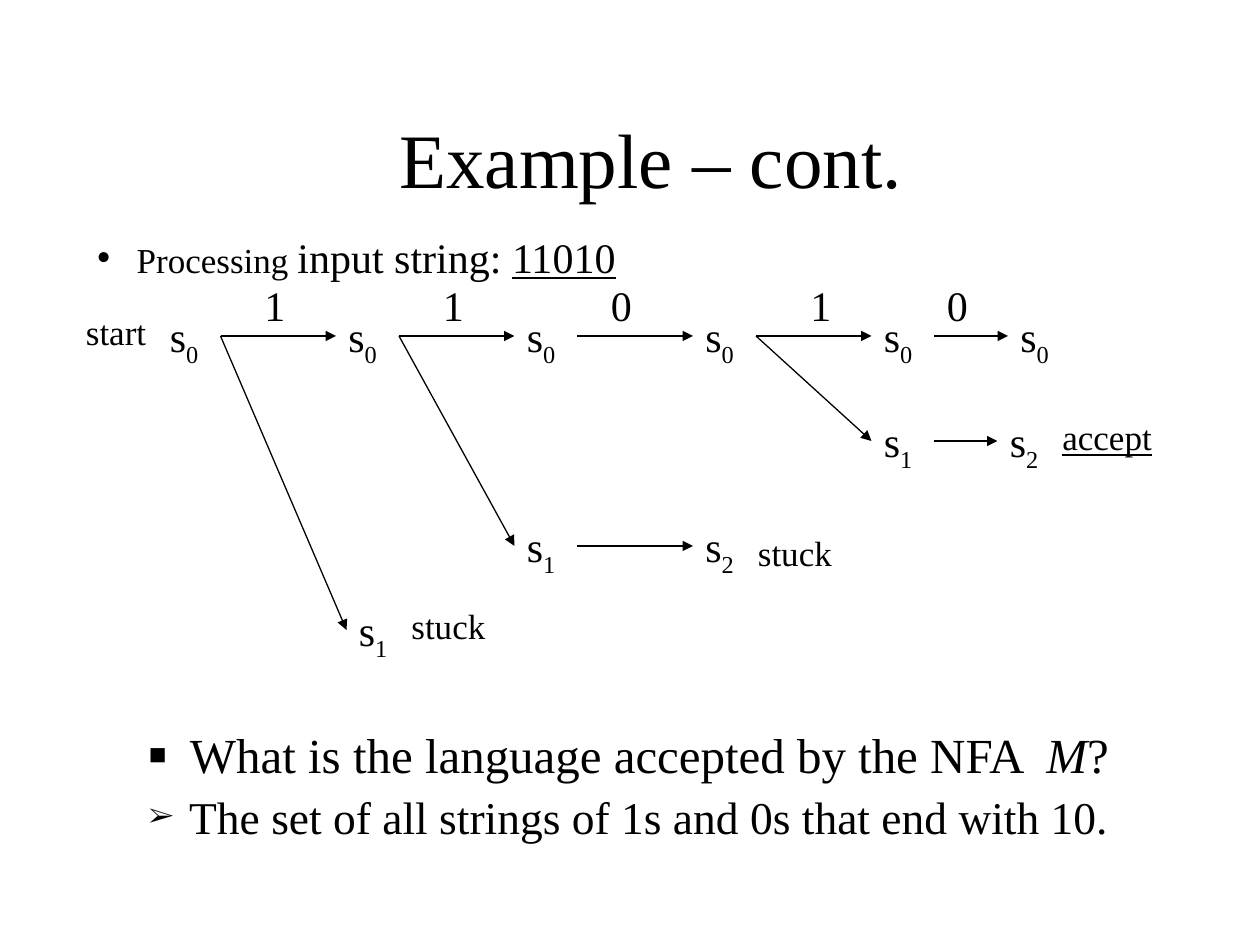
from dataclasses import dataclass

import pptx
import pptx.dml.color
import pptx.enum.shapes
import pptx.enum.text
import pptx.oxml
import pptx.oxml.ns
import pptx.util

Pt = pptx.util.Pt


@dataclass(frozen=True)
class Theme:
    font: str = "Times New Roman"
    ink: pptx.dml.color.RGBColor = pptx.dml.color.RGBColor(0, 0, 0)
    title: float = 44
    question: float = 28
    answer: float = 26
    body: float = 24
    note: float = 20
    line: float = 0.75
    bullet_indent: float = 17


def add_element(parent, tag, **attributes):
    element = pptx.oxml.parse_xml(f"<{tag} {pptx.oxml.ns.nsdecls('a')}/>")
    for key, value in attributes.items():
        element.set(key, str(value))
    parent.append(element)


def add_run(paragraph, text, *, theme, size, underline=None, italic=None, subscript=False):
    run = paragraph.add_run()
    run.text = text
    font = run.font
    font.name, font.size = theme.font, Pt(size)
    font.color.rgb = theme.ink
    font.underline, font.italic = underline, italic
    if subscript:
        font._element.set("baseline", "-25000")


class SlideBuilder:
    def __init__(self, slide, theme):
        self.slide = slide
        self.theme = theme

    def text_box(self, left, top, width, height, grow=True):
        frame = self.slide.shapes.add_textbox(Pt(left), Pt(top), Pt(width), Pt(height)).text_frame
        frame.word_wrap = True
        if grow:
            frame.auto_size = pptx.enum.text.MSO_AUTO_SIZE.SHAPE_TO_FIT_TEXT
        return frame

    def title(self, text, *box):
        frame = self.text_box(*box, grow=False)
        frame.vertical_anchor = pptx.enum.text.MSO_ANCHOR.MIDDLE
        paragraph = frame.paragraphs[0]
        paragraph.alignment = pptx.enum.text.PP_ALIGN.CENTER
        add_run(paragraph, text, theme=self.theme, size=self.theme.title)

    def label(self, text, *box, size, underline=None):
        paragraph = self.text_box(*box).paragraphs[0]
        paragraph.space_before = Pt(size * 0.625)
        add_run(paragraph, text, theme=self.theme, size=size, underline=underline)

    def state(self, index, left, top):
        paragraph = self.text_box(left, top, 36, 40).paragraphs[0]
        paragraph.space_before = Pt(15)
        add_run(paragraph, "s", theme=self.theme, size=self.theme.body)
        add_run(paragraph, index, theme=self.theme, size=self.theme.body, subscript=True)

    def transition(self, source, target):
        """Arrow from the right of one state to the left of another."""
        arrow = self.slide.shapes.add_connector(
            pptx.enum.shapes.MSO_CONNECTOR.STRAIGHT,
            Pt(source[0] + 36), Pt(source[1] + 18), Pt(target[0]), Pt(target[1] + 18))
        arrow.line.color.rgb = self.theme.ink
        arrow.line.width = Pt(self.theme.line)
        add_element(arrow.line._get_or_add_ln(), "a:tailEnd", type="triangle")
        add_element(arrow._element.spPr, "a:effectLst")

    def bullets(self, items, *box):
        """Each item is (bullet, bullet percent, space before, [(text, format), ...])."""
        frame = self.text_box(*box)
        for number, (bullet, percent, space, runs) in enumerate(items):
            paragraph = frame.add_paragraph() if number else frame.paragraphs[0]
            paragraph.line_spacing = 0.9
            paragraph.space_before = Pt(space)
            properties = paragraph._p.get_or_add_pPr()
            indent = Pt(self.theme.bullet_indent)
            properties.set("marL", str(indent))
            properties.set("indent", str(-indent))
            add_element(properties, "a:buSzPct", val=percent * 1000)
            add_element(properties, "a:buFont", typeface=self.theme.font)
            add_element(properties, "a:buChar", char=bullet)
            for text, style in runs:
                add_run(paragraph, text, theme=self.theme, **style)


def main():
    deck = pptx.Presentation()
    deck.slide_width, deck.slide_height = Pt(720), Pt(540)
    theme = Theme()
    page = SlideBuilder(deck.slides.add_slide(deck.slide_layouts[6]), theme)

    # Heading and input string
    page.title("Example – cont.", 36, 42, 672, 96)
    body = {"size": theme.body}
    page.bullets([("•", 100, 6, [
        (" ", body),
        ("Processing ", {"size": theme.note}),
        ("input string: ", body),
        ("11010", {**body, "underline": True}),
    ])], 48, 132, 342, 33)

    # Computation tree: main path along the top, branches below
    main_row, accept_row, middle_row, bottom_row = 174, 234, 294, 342
    columns = [90 + 102 * step for step in range(5)]
    main_path = [(left, main_row) for left in columns + [576]]
    first_branch = [(198, bottom_row)]
    second_branch = [(columns[2], middle_row), (columns[3], middle_row)]
    accept_branch = [(columns[4], accept_row), (570, accept_row)]

    for position in main_path:
        page.state("0", *position)
    for source, target in zip(main_path, main_path[1:]):
        page.transition(source, target)
    for parent, branch in ((0, first_branch), (1, second_branch), (3, accept_branch)):
        for index, position in zip("12", branch):
            page.state(index, *position)
        nodes = [main_path[parent]] + branch
        for source, target in zip(nodes, nodes[1:]):
            page.transition(source, target)

    # Symbols read at each step
    for symbol, left in zip("11010", (144, 246, 342, 456, 534)):
        page.label(symbol, left, 156, 36, 36, size=theme.body)

    # Start and outcome of each branch
    for text, left, top, width, underline in (
        ("start", 42, main_row, 54, None),
        ("stuck", 228, bottom_row, 60, None),
        ("stuck", 426, 300, 60, None),
        ("accept", 600, accept_row, 72, True),
    ):
        page.label(text, left, top, width, 32, size=theme.note, underline=underline)

    # Question and answer
    question = {"size": theme.question}
    page.bullets([
        ("■", 60, 7, [
            (" What is the language accepted by the NFA  ", question),
            ("M", {**question, "italic": True}),
            ("?", question),
        ]),
        ("➢", 60, 6.5, [
            (" The set of all strings of 1s and 0s that end with 10.", {"size": theme.answer}),
        ]),
    ], 78, 414, 576, 72)

    deck.save("out.pptx")


if __name__ == "__main__":
    main()
